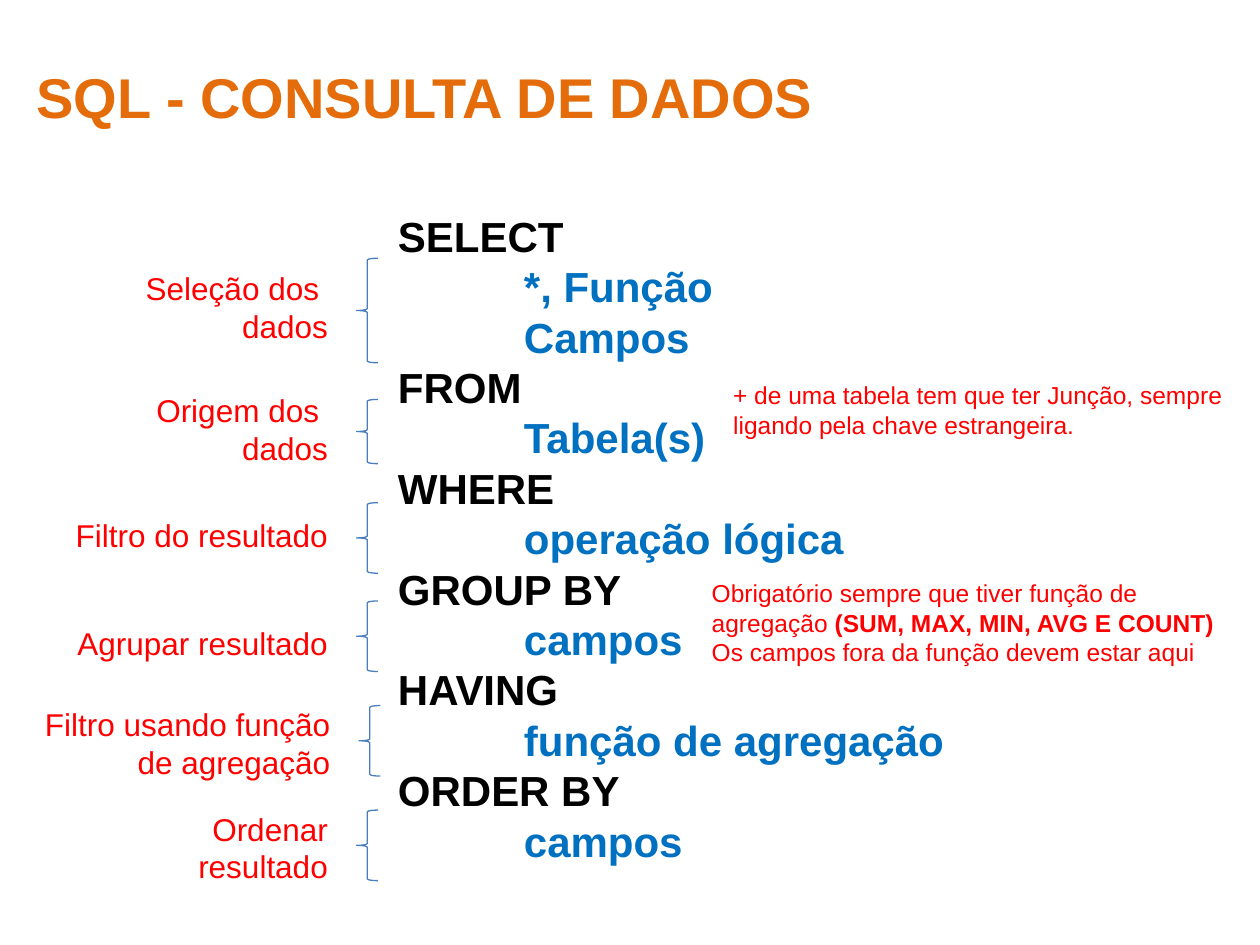
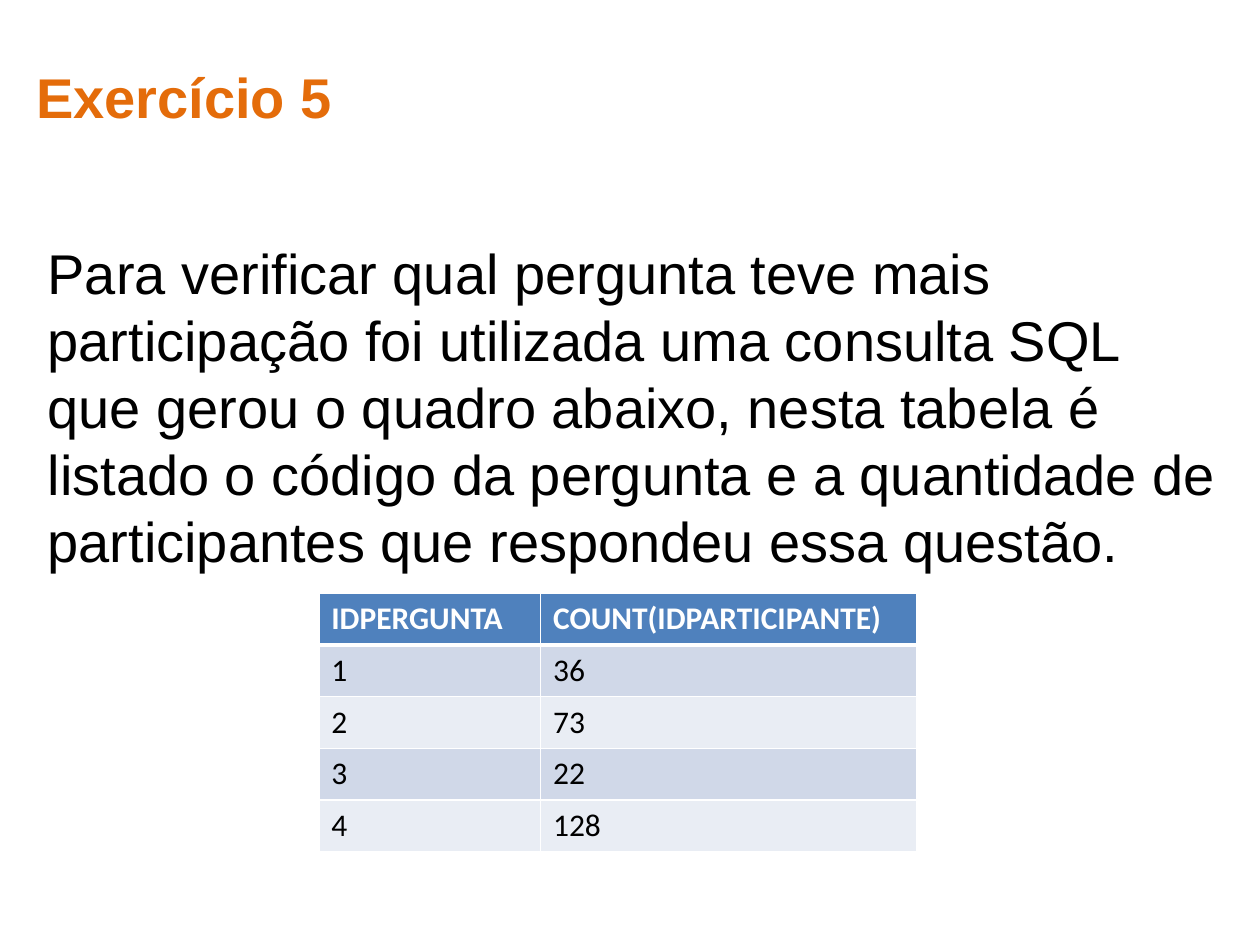
import pptx
import pptx.util
import pptx.dml.color
import pptx.enum.shapes
import pptx.enum.text
import pptx.oxml
import pptx.oxml.ns
from dataclasses import dataclass
from lxml import etree

Inches = pptx.util.Inches
Pt = pptx.util.Pt
RGB = pptx.dml.color.RGBColor.from_string
Align = pptx.enum.text.PP_ALIGN
Anchor = pptx.enum.text.MSO_ANCHOR


@dataclass(frozen=True)
class Theme:
    font: str = "Arial"
    table_font: str = "Calibri"
    title: str = "E46C0A"
    ink: str = "000000"
    argument: str = "0070C0"
    note: str = "FF0000"
    brace: str = "4B7EBC"
    white: str = "FFFFFF"
    header: str = "4F81BD"
    bands: tuple = ("D0D8E8", "E9EDF4")
    title_size: int = 32
    clause_size: int = 24
    label_size: int = 18
    note_size: int = 14


T = Theme()


def style(font, size, color, bold=False, name=T.font):
    font.name, font.size, font.bold = name, Pt(size), bold
    font.color.rgb = RGB(color)


def add_text(s, box, paragraphs, size, color, bold=False, align=Align.LEFT, anchor=Anchor.TOP):
    """Text box with one paragraph per string; returns its paragraphs."""
    tf = s.shapes.add_textbox(*map(Inches, box)).text_frame
    tf.word_wrap = True
    tf.vertical_anchor = anchor
    for i, text in enumerate(paragraphs):
        p = tf.paragraphs[0] if i == 0 else tf.add_paragraph()
        p.text, p.alignment = text, align
        style(p.font, size, color, bold)
    return tf.paragraphs


def add_slide(prs, title):
    s = prs.slides.add_slide(prs.slide_layouts[6])
    add_text(s, (0.19, 0.21, 9.43, 1.1), [title], T.title_size, T.title,
             bold=True, anchor=Anchor.MIDDLE)
    return s


def add_clauses(s, box, clauses):
    """Keywords in black, each followed by its indented arguments in blue."""
    lines = [(text, i > 0) for clause in clauses for i, text in enumerate(clause)]
    paragraphs = add_text(s, box, [text for text, _ in lines], T.clause_size, T.ink, bold=True)
    for p, (_, is_argument) in zip(paragraphs, lines):
        pPr = p._p.get_or_add_pPr()
        pPr.set("marL", str(Inches(3 if is_argument else 2)))
        pPr.set("indent", "0")
        if is_argument:
            p.font.color.rgb = RGB(T.argument)


def add_brace(s, box):
    sp = s.shapes.add_shape(pptx.enum.shapes.MSO_SHAPE.LEFT_BRACE, *map(Inches, box))
    sp.shadow.inherit = False
    sp.fill.background()
    sp.line.color.rgb = RGB(T.brace)
    sp.line.width = Pt(0.75)


def add_labels(s, left, right, labels):
    """Right-aligned explanations, each with a brace facing its clause."""
    for lines, label_top, brace_top, brace_height, shift in labels:
        add_text(s, (left, label_top, right + shift - left, 0.67), lines, T.label_size,
                 T.note, align=Align.RIGHT, anchor=Anchor.MIDDLE)
        add_brace(s, (right + 0.13 + shift, brace_top, 0.17, brace_height))


def add_note(s, left, top, runs):
    """Small remark made of (text, bold) runs."""
    p = add_text(s, (left, top, 4.25, 0.78), [""], T.note_size, T.note)[0]
    for text, bold in runs:
        r = p.add_run()
        r.text = text
        style(r.font, T.note_size, T.note, bold)


def set_borders(cell, bottom):
    tcPr = cell._tc.get_or_add_tcPr()
    widths = {"lnL": 1, "lnR": 1, "lnT": 1, "lnB": bottom}
    for i, (tag, width) in enumerate(widths.items()):
        ln = etree.Element(pptx.oxml.ns.qn("a:" + tag), w=str(Pt(width)))
        fill = etree.SubElement(ln, pptx.oxml.ns.qn("a:solidFill"))
        etree.SubElement(fill, pptx.oxml.ns.qn("a:srgbClr"), val=T.white)
        tcPr.insert(i, ln)


def add_result_table(s, left, top, widths, row_height, rows):
    table = s.shapes.add_table(len(rows), len(widths), Inches(left), Inches(top),
                               Inches(sum(widths)), Inches(row_height * len(rows))).table
    for column, width in zip(table.columns, widths):
        column.width = Inches(width)
    for i, values in enumerate(rows):
        is_header = i == 0
        for j, value in enumerate(values):
            cell = table.cell(i, j)
            cell.text = value
            cell.fill.solid()
            cell.fill.fore_color.rgb = RGB(T.header if is_header else T.bands[(i - 1) % 2])
            style(cell.text_frame.paragraphs[0].font, T.label_size,
                  T.white if is_header else T.ink, is_header, T.table_font)
            # The rule under the header is thick on both sides of the edge
            set_borders(cell, 3 if is_header else 1)
            if i == 1:
                cell._tc.tcPr.find(pptx.oxml.ns.qn("a:lnT")).set("w", str(Pt(3)))


def query_slide(prs):
    s = add_slide(prs, "SQL - CONSULTA DE DADOS")
    add_clauses(s, (1.06, 1.62, 8.58, 5.12), [
        ("SELECT", "*, Função", "Campos"),
        ("FROM", "Tabela(s)"),
        ("WHERE", "operação lógica"),
        ("GROUP BY", "campos"),
        ("HAVING", "função de agregação"),
        ("ORDER BY", "campos"),
    ])
    # Lines, label top, brace top, brace height, shift to the right
    add_labels(s, 0.19, 2.7, [
        (["Seleção dos ", "dados"], 2.1, 2.05, 0.83, 0),
        (["Origem dos ", "dados"], 3.07, 3.17, 0.51, 0),
        (["Filtro do resultado"], 3.91, 3.99, 0.56, 0),
        (["Agrupar resultado"], 4.77, 4.77, 0.56, 0),
        (["Filtro usando função de agregação"], 5.56, 5.6, 0.56, 0.02),
        (["Ordenar", "resultado"], 6.39, 6.43, 0.56, 0),
    ])
    add_note(s, 5.72, 2.97, [
        ("+ de uma tabela tem que ter Junção, sempre ligando pela chave estrangeira.", False),
    ])
    add_note(s, 5.55, 4.54, [
        ("Obrigatório sempre que tiver função de agregação ", False),
        ("(SUM, MAX, MIN, AVG E COUNT)", True),
        (" Os campos fora da função devem estar aqui", False),
    ])


def exercise_slide(prs):
    s = add_slide(prs, "Exercício 5")
    add_text(s, (0.28, 1.84, 9.53, 4.86), [
        "Para verificar qual pergunta teve mais participação foi utilizada uma consulta SQL "
        "que gerou o quadro abaixo, nesta tabela é listado o código da pergunta e a "
        "quantidade de participantes que respondeu essa questão."
    ], T.title_size, T.ink)
    add_result_table(s, 2.53, 4.71, (1.76, 2.99), 0.41, [
        ("IDPERGUNTA", "COUNT(IDPARTICIPANTE)"),
        ("1", "36"),
        ("2", "73"),
        ("3", "22"),
        ("4", "128"),
    ])


prs = pptx.Presentation()
prs.slide_width, prs.slide_height = Inches(10), Inches(7.5)
query_slide(prs)
exercise_slide(prs)
prs.save("out.pptx")
